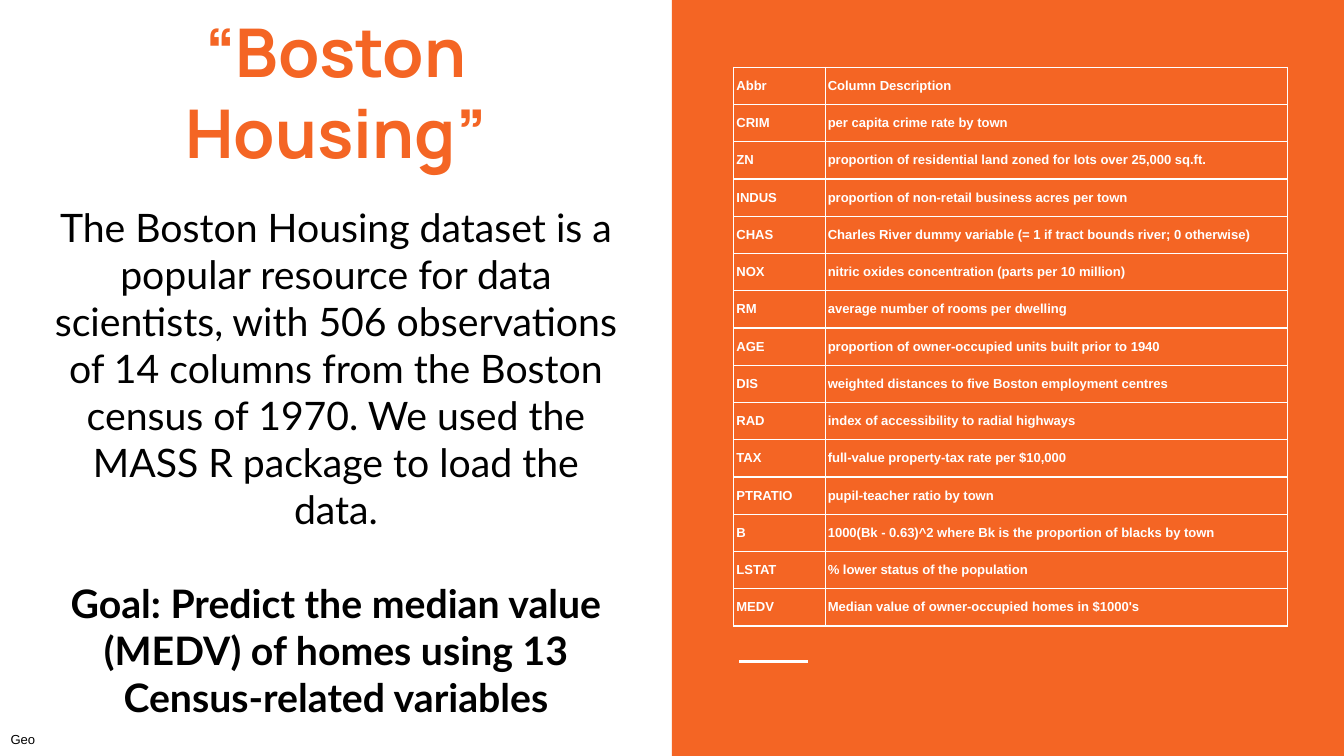
"""Build the Boston Housing slide with its table of column descriptions."""
from lxml.etree import SubElement
from pptx import Presentation
from pptx.dml.color import RGBColor
from pptx.enum.shapes import MSO_CONNECTOR as Conn, MSO_SHAPE as Shape
from pptx.enum.text import MSO_ANCHOR as Anchor, MSO_AUTO_SIZE as Auto, PP_ALIGN as Align
from pptx.oxml.ns import qn
from pptx.util import Inches, Pt

ORANGE, WHITE, BLACK = "F46524", "FFFFFF", "000000"


def paint(part, tone):
    part.rgb = RGBColor.from_string(tone)


def write(para, text, tone, form):
    run = para.add_run()
    run.text = text
    for key, value in form.items():
        setattr(run.font, key, value)
    paint(run.font.color, tone)


deck = Presentation()
deck.slide_width, deck.slide_height = Inches(10), Inches(10) * 9 // 16
slide = deck.slides.add_slide(deck.slide_layouts[0])
shapes = slide.shapes

panel = shapes.add_shape(Shape.RECTANGLE, Inches(5), 0, Inches(5), deck.slide_height)
panel.shadow.inherit = False
panel.fill.solid()
paint(panel.fill.fore_color, ORANGE)
panel.line.fill.background()

rule = shapes.add_connector(Conn.STRAIGHT, Inches(5.5), Inches(4.92), Inches(6.01), Inches(4.92))
rule.line.width = Pt(1.5)
paint(rule.line.color, WHITE)
SubElement(rule._element.spPr, qn("a:effectLst"))

title, body = shapes.title, slide.placeholders[1]
note = shapes.add_textbox(0, 0, 0, 0)
lato = {"name": "Lato", "size": Pt(21), "bold": False}
boxes = [
    (title, (0.29, -0.06, 4.42, 1.44), Anchor.BOTTOM, Align.CENTER, ORANGE, [
        ("“Boston Housing”", {"name": "Manrope", "size": Pt(36), "bold": True}, 0)]),
    (body, (0.29, 1.41, 4.42, 1.47), Anchor.TOP, Align.CENTER, BLACK, [
        ("The Boston Housing dataset is a popular resource for data scientists, "
         "with 506 observations of 14 columns from the Boston census of 1970. "
         "We used the MASS R package to load the data.", lato, 0),
        ("Goal: Predict the median value (MEDV) of homes using 13 "
         "Census-related variables", lato | {"bold": True}, 25.2)]),
    (note, (-0.02, 5.35, 0.55, 0.19), Anchor.TOP, Align.LEFT, BLACK, [
        ("Geo", {"name": "Arial", "size": Pt(7), "bold": False}, 0)]),
]
for box, place, anchor, align, tone, paras in boxes:
    box.left, box.top, box.width, box.height = map(Inches, place)
    frame = box.text_frame
    form = {"word_wrap": True, "auto_size": Auto.NONE, "vertical_anchor": anchor}
    form |= {f"margin_{side}": Inches(0.1) for side in ("left", "right", "top", "bottom")}
    for key, value in form.items():
        setattr(frame, key, value)
    for i, (text, font, gap) in enumerate(paras):
        para = frame.add_paragraph() if i else frame.paragraphs[0]
        para.alignment, para.space_before = align, Pt(gap)
        write(para, text, tone, font)

rows = [
    ("Abbr", "Column Description"),
    ("CRIM", "per capita crime rate by town"),
    ("ZN", "proportion of residential land zoned for lots over 25,000 sq.ft."),
    ("INDUS", "proportion of non-retail business acres per town"),
    ("CHAS", "Charles River dummy variable (= 1 if tract bounds river; 0 otherwise)"),
    ("NOX", "nitric oxides concentration (parts per 10 million)"),
    ("RM", "average number of rooms per dwelling"),
    ("AGE", "proportion of owner-occupied units built prior to 1940"),
    ("DIS", "weighted distances to five Boston employment centres"),
    ("RAD", "index of accessibility to radial highways"),
    ("TAX", "full-value property-tax rate per $10,000"),
    ("PTRATIO", "pupil-teacher ratio by town"),
    ("B", "1000(Bk - 0.63)^2 where Bk is the proportion of blacks by town"),
    ("LSTAT", "% lower status of the population"),
    ("MEDV", "Median value of owner-occupied homes in $1000's"),
]
table = shapes.add_table(len(rows), 2, Inches(5.46), Inches(0.5), Inches(4.12), Inches(4.16)).table
table.first_row = table.horz_banding = False
for col, width in zip(table.columns, (0.68, 3.44)):
    col.width = Inches(width)
form = {f"margin_{side}": Inches(0.02) for side in ("left", "right", "top", "bottom")}
form["vertical_anchor"] = Anchor.MIDDLE
for r, row in enumerate(rows):
    for c, text in enumerate(row):
        cell = table.cell(r, c)
        for key, value in form.items():
            setattr(cell, key, value)
        for side in ("lnL", "lnR", "lnT", "lnB"):
            edge = SubElement(cell._tc.get_or_add_tcPr(), qn(f"a:{side}"), w=str(Pt(0.75)))
            SubElement(SubElement(edge, qn("a:solidFill")), qn("a:srgbClr"), val=WHITE)
        cell.fill.background()
        write(cell.text_frame.paragraphs[0], text, WHITE,
              {"name": "Arial", "size": Pt(7), "bold": True})

deck.save("out.pptx")
